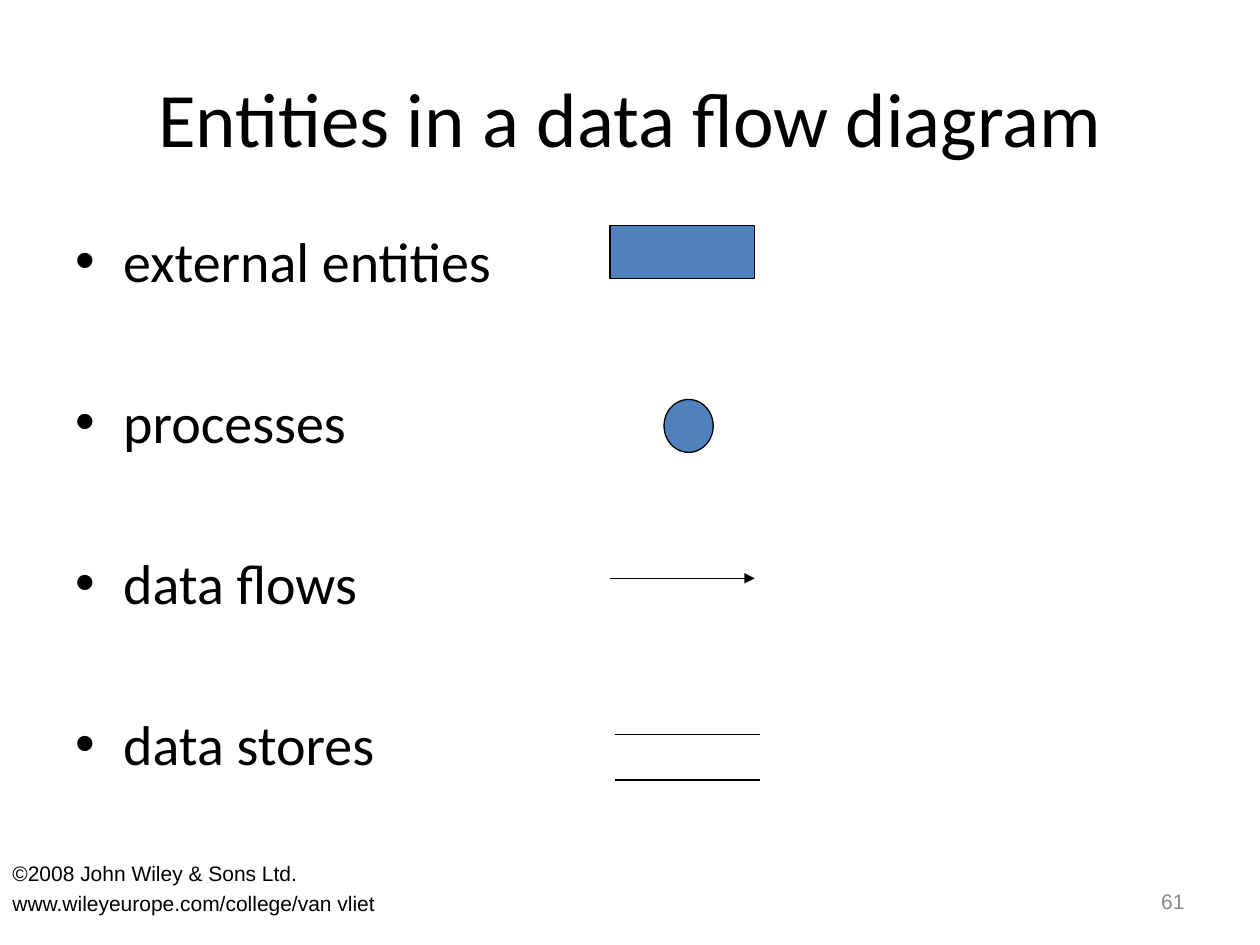
from lxml import etree
from pptx import Presentation
from pptx.dml.color import RGBColor
from pptx.enum.shapes import MSO_CONNECTOR, MSO_SHAPE
from pptx.enum.text import MSO_ANCHOR, PP_ALIGN
from pptx.oxml.ns import qn
from pptx.util import Inches, Pt

RECTANGLE = MSO_SHAPE.RECTANGLE
ELLIPSE = MSO_SHAPE.OVAL
STRAIGHT = MSO_CONNECTOR.STRAIGHT
TOP, MIDDLE = MSO_ANCHOR.TOP, MSO_ANCHOR.MIDDLE
LEFT, CENTER, RIGHT = PP_ALIGN.LEFT, PP_ALIGN.CENTER, PP_ALIGN.RIGHT


def color(value):
    return RGBColor.from_string(value)


class SlideBuilder:
    heading_font = "Calibri"
    small_font = "Arial"
    ink = "000000"
    muted = "898989"
    accent = "4F81BD"
    line_width = Pt(0.75)

    def __init__(self, presentation):
        self.slide = presentation.slides.add_slide(presentation.slide_layouts[5])

    def place(self, shape, left, top, width, height):
        shape.left, shape.top = Inches(left), Inches(top)
        shape.width, shape.height = Inches(width), Inches(height)

    def add_styled_run(self, paragraph, text, size, font, ink):
        run = paragraph.add_run()
        run.text = text
        run.font.size = Pt(size)
        run.font.name = font
        run.font.color.rgb = color(ink)

    def title(self, text, box):
        shape = self.slide.shapes.title
        self.place(shape, *box)
        shape.text_frame.vertical_anchor = MIDDLE
        paragraph = shape.text_frame.paragraphs[0]
        paragraph.alignment = CENTER
        self.add_styled_run(paragraph, text, 44, self.heading_font, self.ink)

    def text(self, lines, box, size, font, ink=ink, gap=0,
             alignment=LEFT, anchor=TOP, bullet=False):
        shape = self.slide.shapes.add_textbox(*map(Inches, box))
        frame = shape.text_frame
        frame.word_wrap = True
        frame.vertical_anchor = anchor
        for index, line in enumerate(lines):
            paragraph = frame.add_paragraph() if index else frame.paragraphs[0]
            paragraph.alignment = alignment
            if index:
                paragraph.space_before = Pt(gap)
            if bullet:
                self.bullet(paragraph)
            self.add_styled_run(paragraph, line, size, font, ink)

    def bullet(self, paragraph):
        properties = paragraph._p.get_or_add_pPr()
        properties.set("marL", str(Inches(0.38)))
        properties.set("indent", str(-Inches(0.38)))
        etree.SubElement(properties, qn("a:buFont"), typeface=self.small_font)
        etree.SubElement(properties, qn("a:buChar"), char="•")

    def symbol(self, kind, box):
        shape = self.slide.shapes.add_shape(kind, *map(Inches, box))
        shape.shadow.inherit = False
        shape.fill.solid()
        shape.fill.fore_color.rgb = color(self.accent)
        shape.line.color.rgb = color(self.ink)
        shape.line.width = self.line_width

    def line(self, left, top, length, arrow=False):
        connector = self.slide.shapes.add_connector(
            STRAIGHT, Inches(left), Inches(top), Inches(left + length), Inches(top))
        connector.line.color.rgb = color(self.ink)
        connector.line.width = self.line_width
        if arrow:
            etree.SubElement(connector.line._get_or_add_ln(), qn("a:tailEnd"), type="triangle")
        etree.SubElement(connector._element.spPr, qn("a:effectLst"))


def main():
    presentation = Presentation()
    presentation.slide_width, presentation.slide_height = Inches(10), Inches(7.5)
    builder = SlideBuilder(presentation)

    builder.title("Entities in a data flow diagram", (0.5, 0.3, 9, 1.25))
    entities = ["external entities", "processes", "data flows", "data stores"]
    builder.text(entities, (0.5, 1.75, 9, 4.95), 32, builder.heading_font,
                 gap=53.5, bullet=True)
    builder.text(["61"], (7.17, 6.95, 2.33, 0.4), 12, builder.small_font,
                 ink=builder.muted, alignment=RIGHT, anchor=MIDDLE)

    symbol_width = 1.15
    builder.symbol(RECTANGLE, (4.84, 1.79, symbol_width, 0.42))
    builder.symbol(ELLIPSE, (5.27, 3.17, 0.39, 0.42))
    builder.line(4.84, 4.59, symbol_width, arrow=True)
    for store_edge in (5.83, 6.19):
        builder.line(4.88, store_edge, symbol_width)

    copyright_lines = ["©2008 John Wiley & Sons Ltd.", "www.wileyeurope.com/college/van vliet"]
    builder.text(copyright_lines, (0, 6.78, 6.58, 0.72), 12, builder.small_font, gap=3)

    presentation.save("out.pptx")


if __name__ == "__main__":
    main()
